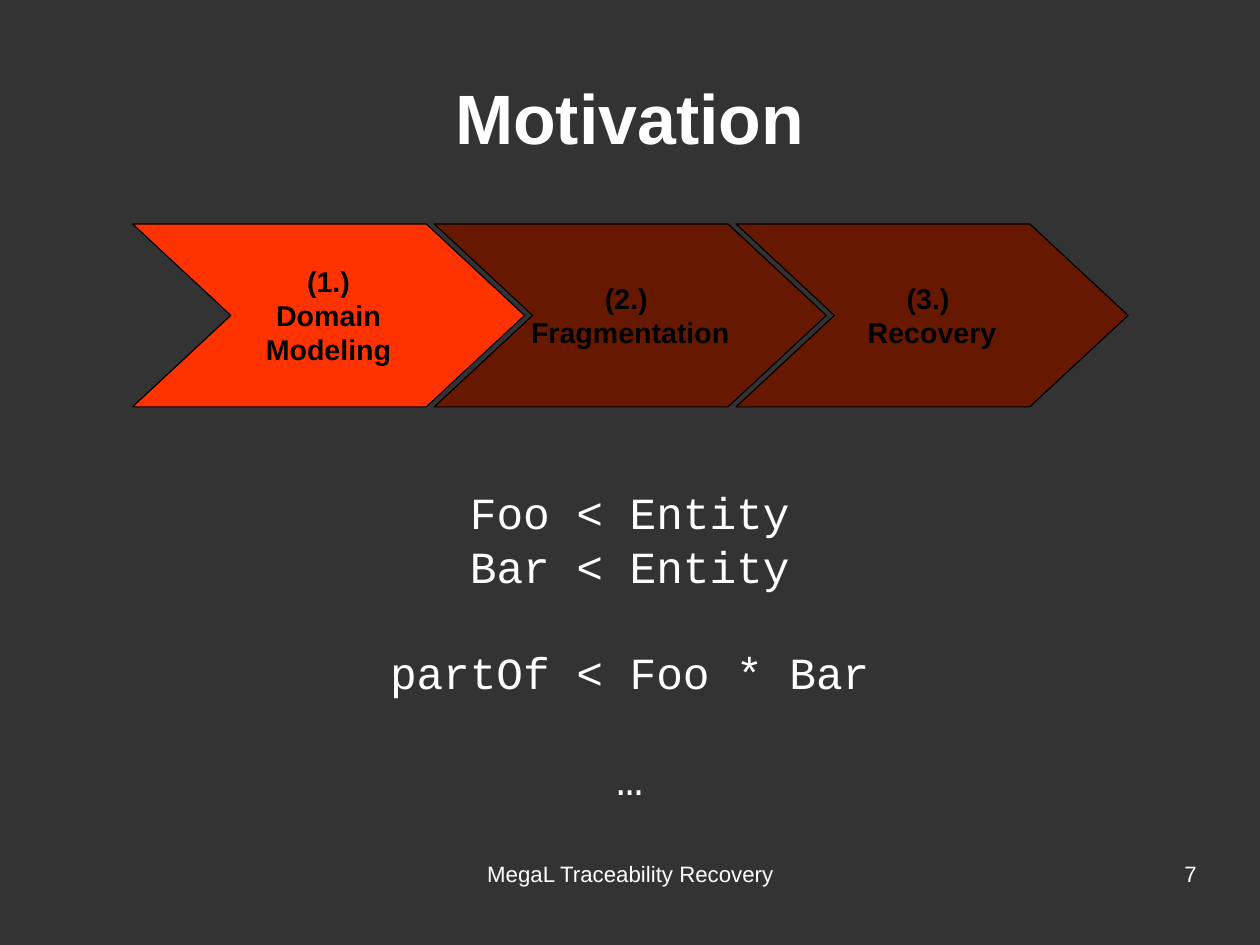
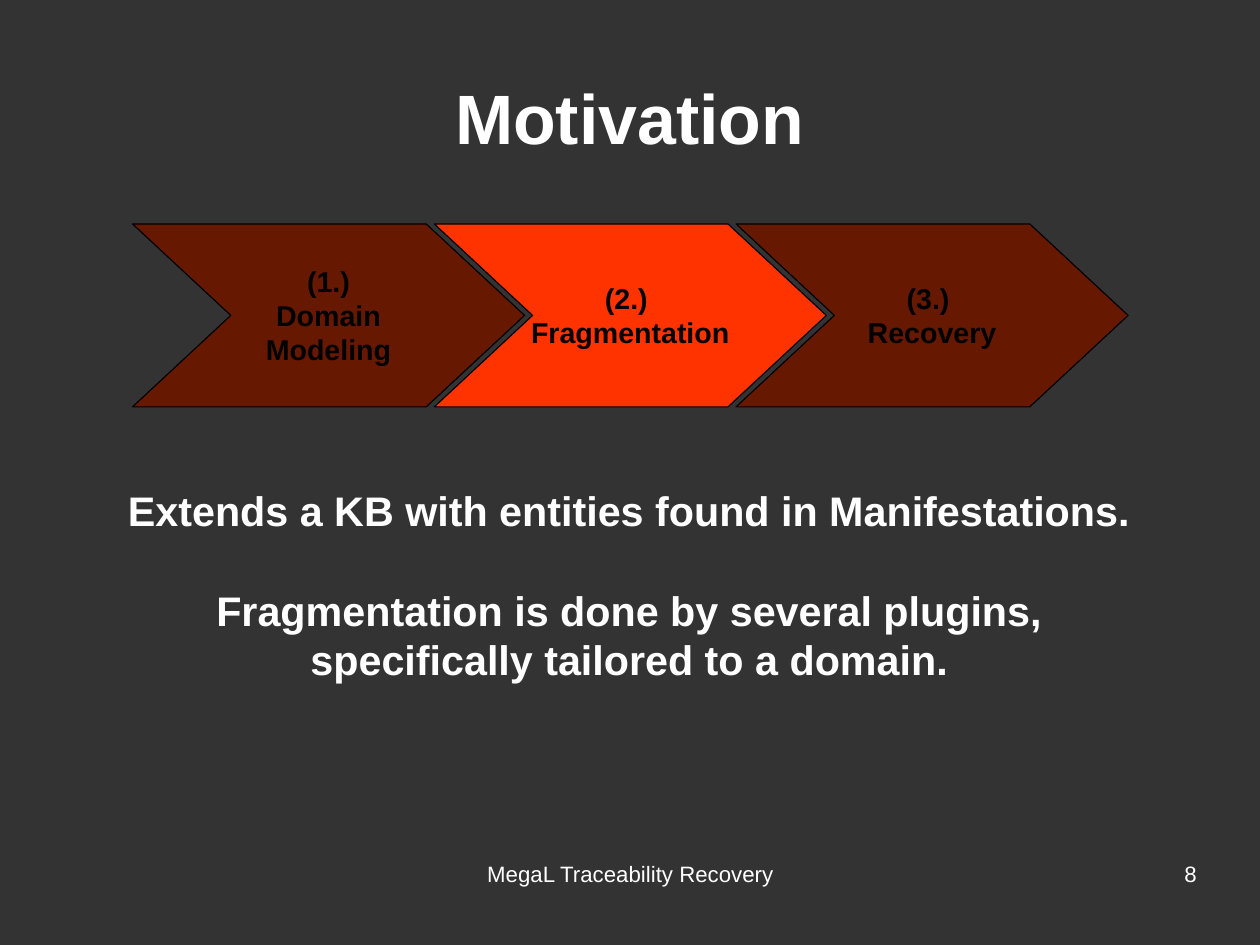
import dataclasses

import pptx
import pptx.dml.color
import pptx.enum.shapes
import pptx.enum.text
import pptx.util

Inches = pptx.util.Inches
Pt = pptx.util.Pt
Align = pptx.enum.text.PP_ALIGN
Anchor = pptx.enum.text.MSO_ANCHOR

HEX = {
    "back": "333333",
    "text": "FFFFFF",
    "ink": "000000",
    "live": "FF3300",
    "dim": "661900",
}

# Slide of 28 by 21 cm, in inches
WIDE = 28 / 2.54
HIGH = 21 / 2.54


@dataclasses.dataclass(frozen=True)
class Style:
    size: float
    font: str = "Arial"
    bold: bool = False
    tint: str = "text"
    align: Align = Align.CENTER
    pitch: float | None = None  # line height in points


@dataclasses.dataclass(frozen=True)
class Box:
    left: float
    top: float
    width: float
    height: float


@dataclasses.dataclass(frozen=True)
class Line:
    text: str
    gap: bool = False  # leave one line free above


@dataclasses.dataclass(frozen=True)
class Page:
    number: int
    step: int  # index of the lit step
    box: Box
    style: Style
    lines: tuple[Line, ...]


# Shared look
TITLE = Style(44, bold=True)
STEP = Style(18, bold=True, tint="ink", pitch=21.4)
FOOT = Style(14)
COUNT = Style(14, align=Align.RIGHT)
CODE = Style(28, font="Courier New", pitch=33.5)
PROSE = Style(26, bold=True, pitch=31.2)

# Chevron row
FIRST = Box(1.16, 1.96, 3.43, 1.6)
PITCH = 2.64
POINT = 0.86
STEPS = (
    ("(1.)", "Domain", "Modeling"),
    ("(2.) ", "Fragmentation"),
    ("(3.) ", "Recovery"),
)

PAGES = (
    Page(7, 0, Box(1.01, 4.2, 9, 2.44), CODE, (
        Line("Foo < Entity"),
        Line("Bar < Entity"),
        Line("partOf < Foo * Bar", gap=True),
        Line("…", gap=True),
    )),
    Page(8, 1, Box(1.01, 4.2, 9, 1.72), PROSE, (
        Line("Extends a KB with entities found in Manifestations."),
        Line("Fragmentation is done by several plugins, "
             "specifically tailored to a domain.", gap=True),
    )),
)


def color(name: str) -> pptx.dml.color.RGBColor:
    return pptx.dml.color.RGBColor.from_string(HEX[name])


def place(box: Box) -> tuple:
    return tuple(Inches(n) for n in dataclasses.astuple(box))


def write(frame, lines: tuple[Line, ...], style: Style) -> None:
    for i, line in enumerate(lines):
        para = frame.add_paragraph() if i else frame.paragraphs[0]
        para.alignment = style.align
        if style.pitch:
            para.line_spacing = Pt(style.pitch)
        if line.gap:
            para.space_before = Pt(style.pitch or style.size)
        run = para.add_run()
        run.text = line.text
        run.font.size = Pt(style.size)
        run.font.name = style.font
        run.font.bold = style.bold
        run.font.color.rgb = color(style.tint)


def inset(frame, side: float, edge: float) -> None:
    frame.margin_left = frame.margin_right = Inches(side)
    frame.margin_top = frame.margin_bottom = Inches(edge)


def label(slide, box: Box, lines: tuple[Line, ...], style: Style,
          anchor: Anchor = Anchor.TOP, pad: bool = False) -> None:
    frame = slide.shapes.add_textbox(*place(box)).text_frame
    frame.word_wrap = True
    frame.vertical_anchor = anchor
    inset(frame, 0.1 if pad else 0, 0.05 if pad else 0)
    write(frame, lines, style)


def chevron(slide, index: int, lit: bool) -> None:
    box = dataclasses.replace(FIRST, left=FIRST.left + index * PITCH)
    shape = slide.shapes.add_shape(
        pptx.enum.shapes.MSO_SHAPE.CHEVRON, *place(box))
    shape.adjustments[0] = POINT / box.height
    shape.shadow.inherit = False
    shape.fill.solid()
    shape.fill.fore_color.rgb = color("live" if lit else "dim")
    shape.line.color.rgb = color("ink")
    shape.line.width = Pt(0)
    frame = shape.text_frame
    frame.word_wrap = False
    frame.vertical_anchor = Anchor.MIDDLE
    inset(frame, 0.1, 0.05)
    write(frame, tuple(Line(text) for text in STEPS[index]), STEP)


def draw(deck, page: Page) -> None:
    slide = deck.slides.add_slide(deck.slide_layouts[6])
    slide.background.fill.solid()
    slide.background.fill.fore_color.rgb = color("back")

    # Title and steps
    label(slide, Box(0.55, 0.33, 9.92, 1.38), (Line("Motivation"),),
          TITLE, Anchor.MIDDLE)
    for i in range(len(STEPS)):
        chevron(slide, i, i == page.step)

    # Body
    label(slide, page.box, page.lines, page.style, pad=True)

    # Footer
    label(slide, Box(3.77, 7.53, 3.49, 0.57),
          (Line("MegaL Traceability Recovery"),), FOOT)
    label(slide, Box(7.9, 7.53, 2.57, 0.57),
          (Line(str(page.number)),), COUNT)


def main() -> None:
    deck = pptx.Presentation()
    deck.slide_width = Inches(WIDE)
    deck.slide_height = Inches(HIGH)
    for page in PAGES:
        draw(deck, page)
    deck.save("out.pptx")


if __name__ == "__main__":
    main()
